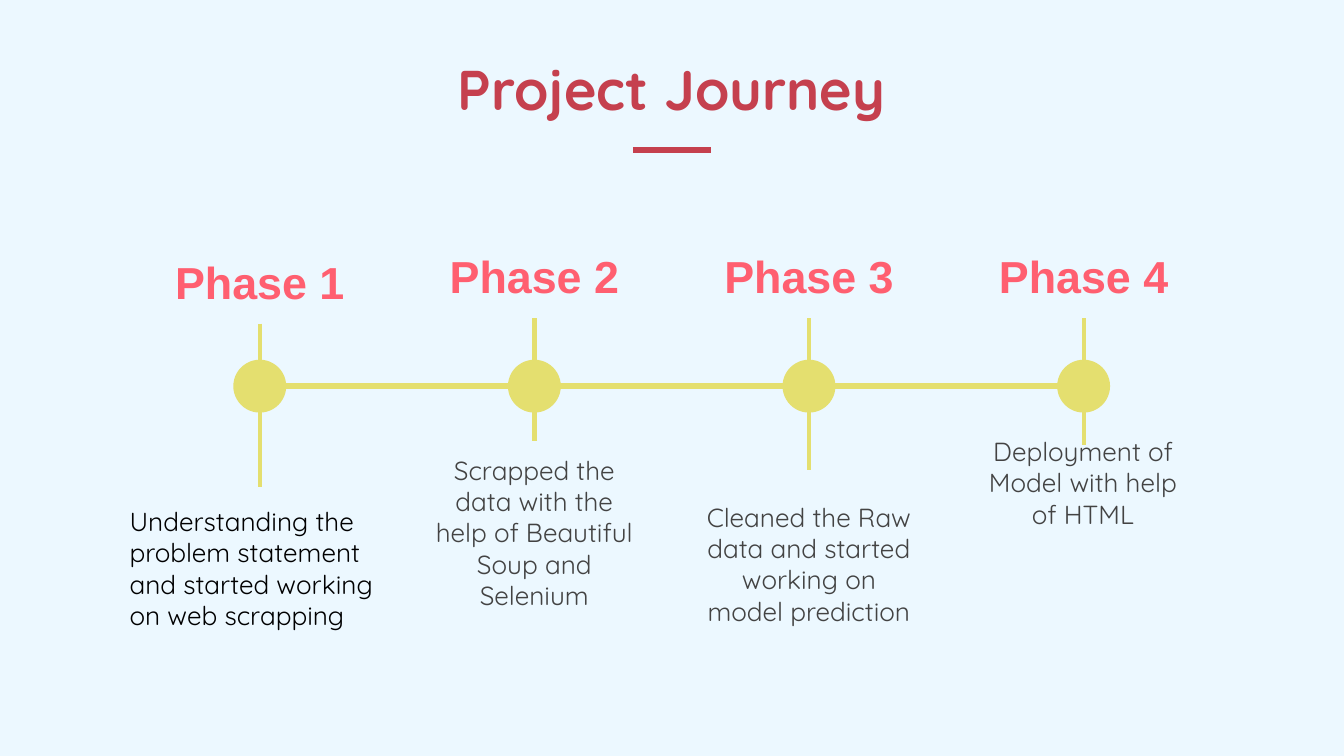
"""Build the Project Journey timeline slide."""
import pptx
import pptx.dml.color
import pptx.enum.shapes
import pptx.enum.text
import pptx.oxml.ns
import pptx.util
from lxml import etree
from pptx.dml.color import RGBColor
from pptx.util import Cm

BACKGROUND = RGBColor(0xEC, 0xF8, 0xFF)
CRIMSON = RGBColor(0xC5, 0x40, 0x4E)
CORAL = RGBColor(0xFF, 0x5F, 0x70)
YELLOW = RGBColor(0xE4, 0xDF, 0x6F)
GRAY = RGBColor(0x43, 0x43, 0x43)
BLACK = RGBColor(0, 0, 0)
CENTER = pptx.enum.text.PP_ALIGN.CENTER
LEFT = pptx.enum.text.PP_ALIGN.LEFT
TOP = pptx.enum.text.MSO_ANCHOR.TOP
BOTTOM = pptx.enum.text.MSO_ANCHOR.BOTTOM

SLIDE_WIDTH, SLIDE_HEIGHT = 25.4, 14.29
FIRST_CENTER, PHASE_STEP = 4.91, 5.19
AXIS_Y, DOT_SIZE = 7.3, 1.0
LABEL_WIDTH, LABEL_HEIGHT = 4.44, 1.56

PHASES = [
    {"label_top": 4.56, "stem_end": 9.2, "box": (2.2, 9.42, 5.16, 3.25),
     "text": "Understanding the problem statement and started working on web scrapping",
     "color": BLACK, "align": LEFT, "inset": (0.25, 0.13)},
    {"label_top": 4.46, "stem_end": 8.33, "box": (7.88, 8.33, 4.44, 4.22),
     "text": "Scrapped the data with the help of Beautiful Soup and Selenium"},
    {"label_top": 4.46, "stem_end": 8.88, "box": (13.07, 9.22, 4.44, 3.76),
     "text": "Cleaned the Raw data and started working on model prediction"},
    {"label_top": 4.46, "stem_end": 8.41, "box": (18.25, 7.98, 4.44, 2.44),
     "text": "Deployment of Model with help of HTML"},
]


class SlideBuilder:
    """Hold the style and the current slide."""

    heading_font = "Arial"
    body_font = "Quicksand"

    def __init__(self, presentation):
        self.slide = presentation.slides.add_slide(presentation.slide_layouts[5])
        fill = self.slide.background.fill
        fill.solid()
        fill.fore_color.rgb = BACKGROUND

    def fill_text(self, shape, text, font, size, color, bold=False, align=CENTER,
                  anchor=TOP, inset=(0.25, 0.25)):
        """Put one formatted run into the shape."""
        frame = shape.text_frame
        frame.word_wrap = True
        frame.auto_size = pptx.enum.text.MSO_AUTO_SIZE.NONE
        frame.vertical_anchor = anchor
        frame.margin_left = frame.margin_right = Cm(inset[0])
        frame.margin_top = frame.margin_bottom = Cm(inset[1])
        paragraph = frame.paragraphs[0]
        paragraph.alignment = align
        run = paragraph.add_run()
        run.text = text
        run.font.name = font
        run.font.size = pptx.util.Pt(size)
        run.font.bold = bold
        run.font.color.rgb = color

    def title(self, text, left, top, width, height):
        """Place and fill the title placeholder."""
        shape = self.slide.shapes.title
        shape.left, shape.top = Cm(left), Cm(top)
        shape.width, shape.height = Cm(width), Cm(height)
        self.fill_text(shape, text, self.body_font, 30, CRIMSON, bold=True, anchor=BOTTOM)

    def text_box(self, box, text, font, size, color, **style):
        """Add a text box."""
        shape = self.slide.shapes.add_textbox(*map(Cm, box))
        self.fill_text(shape, text, font, size, color, **style)
        return shape

    def dot(self, center_x, center_y):
        """Add a timeline dot around its center."""
        shape = self.slide.shapes.add_shape(
            pptx.enum.shapes.MSO_SHAPE.OVAL, Cm(center_x - DOT_SIZE / 2),
            Cm(center_y - DOT_SIZE / 2), Cm(DOT_SIZE), Cm(DOT_SIZE))
        shape.shadow.inherit = False
        shape.fill.solid()
        shape.fill.fore_color.rgb = YELLOW
        shape.line.fill.background()

    def line(self, start, end, color, weight):
        """Add a straight connector without a shadow."""
        connector = self.slide.shapes.add_connector(
            pptx.enum.shapes.MSO_CONNECTOR.STRAIGHT, *map(Cm, start + end))
        connector.line.color.rgb = color
        connector.line.width = pptx.util.Pt(weight)
        properties = connector._element.spPr
        etree.SubElement(properties, pptx.oxml.ns.qn("a:effectLst"))
        return connector

    def phase(self, number, center_x, phase):
        """Add a phase label, its description and the stem between them."""
        label_box = (center_x - LABEL_WIDTH / 2, phase["label_top"], LABEL_WIDTH, LABEL_HEIGHT)
        label = self.text_box(label_box, f"Phase {number}", self.heading_font, 24,
                              CORAL, bold=True)
        description = self.text_box(
            phase["box"], phase["text"], self.body_font, 14, phase.get("color", GRAY),
            align=phase.get("align", CENTER), inset=phase.get("inset", (0.25, 0.25)))
        stem_start = phase["label_top"] + LABEL_HEIGHT
        stem = self.line((center_x, stem_start), (center_x, phase["stem_end"]), YELLOW, 2.25)
        stem.begin_connect(label, 2)
        if phase["stem_end"] == phase["box"][1]:
            stem.end_connect(description, 0)


def main():
    """Create and save the presentation."""
    presentation = pptx.Presentation()
    presentation.slide_width = Cm(SLIDE_WIDTH)
    presentation.slide_height = Cm(SLIDE_HEIGHT)
    builder = SlideBuilder(presentation)
    builder.line((11.96, 2.84), (13.44, 2.84), CRIMSON, 3)
    builder.title("Project Journey", 2.2, 0.46, 20.98, 2.1)

    centers = [FIRST_CENTER + index * PHASE_STEP for index in range(len(PHASES))]
    for center_x in centers:
        builder.dot(center_x, AXIS_Y)
    radius = DOT_SIZE / 2
    builder.line((centers[0] + radius, AXIS_Y), (centers[-1] + radius, AXIS_Y), YELLOW, 3)
    for number, (center_x, phase) in enumerate(zip(centers, PHASES), start=1):
        builder.phase(number, center_x, phase)
    presentation.save("out.pptx")


if __name__ == "__main__":
    main()
